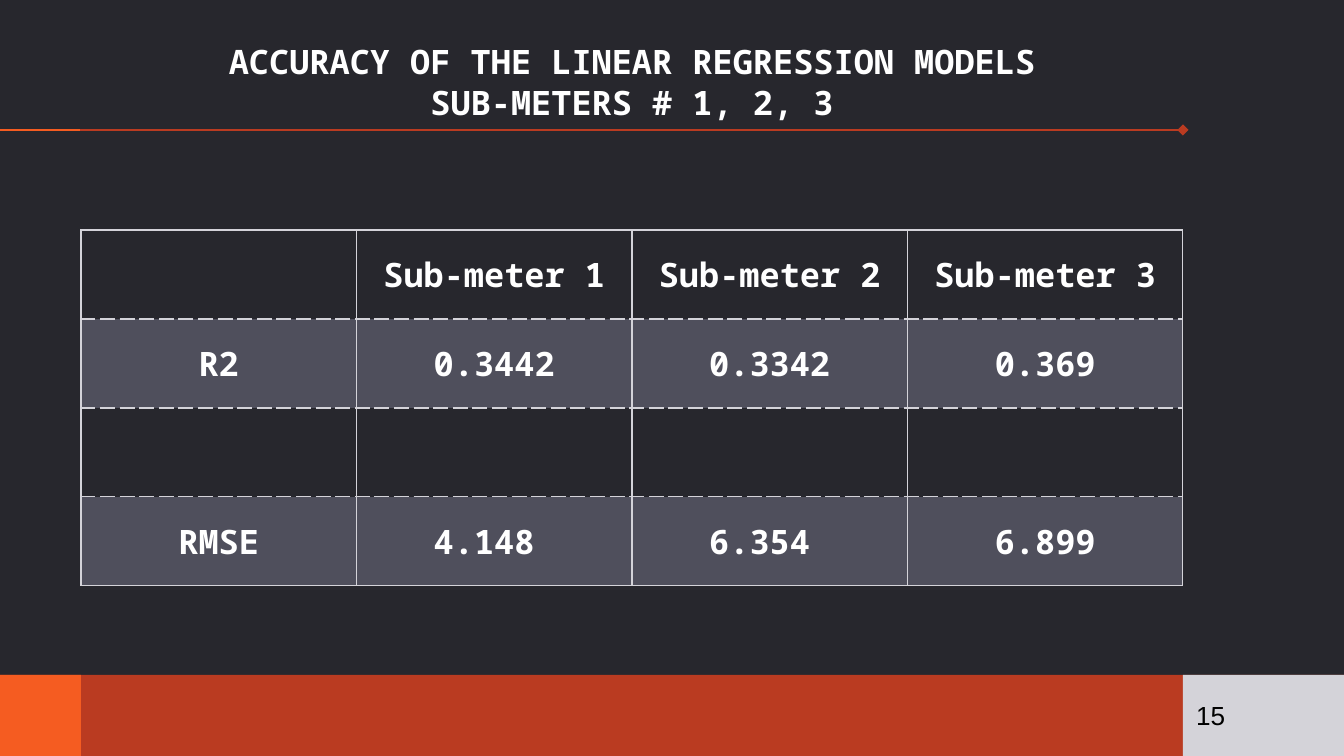
from lxml.etree import SubElement as Sub
from pptx import Presentation
from pptx.dml.color import RGBColor as RGB
from pptx.enum.shapes import MSO_CONNECTOR as Conn, MSO_SHAPE as Shape
from pptx.enum.text import MSO_ANCHOR as Anchor, MSO_AUTO_SIZE as Fit, PP_ALIGN as Align
from pptx.oxml.ns import qn
from pptx.util import Pt

DARK = RGB(0x27, 0x27, 0x2D)
SLATE = RGB(0x4F, 0x4F, 0x5C)
RUST = RGB(0xBA, 0x3B, 0x21)
ORANGE = RGB(0xF5, 0x5C, 0x21)
PALE = RGB(0xD4, 0xD3, 0xD9)
WHITE = RGB(0xFF, 0xFF, 0xFF)
BLACK = RGB(0, 0, 0)

MONO = "Noto Sans Mono"
WIDE, HIGH = 1344, 756
LEFT, RIGHT = 81, 1183
PAD = 13

TITLE = ("ACCURACY OF THE LINEAR REGRESSION MODELS", "SUB-METERS # 1, 2, 3")
ROWS = (
    ("", "Sub-meter 1", "Sub-meter 2", "Sub-meter 3"),
    ("R2", "0.3442", "0.3342", "0.369"),
    ("", "", "", ""),
    ("RMSE", "4.148 ", "6.354 ", "6.899"),
)


def px(*nums):
    """Turn pixels at 134.4 to the inch into EMU."""
    return [round(n * 914400 / 134.4) for n in nums]


def add_run(para, text, size=18, font=MONO, color=WHITE, bold=True):
    run = para.add_run()
    run.text = text
    run.font.size, run.font.name, run.font.bold = Pt(size), font, bold
    run.font.color.rgb = color


def set_pad(frame):
    frame.margin_left, frame.margin_top, frame.margin_right, frame.margin_bottom = px(*[PAD] * 4)
    frame.word_wrap = True


def add_rule(slide, x1, x2, y, color, tip=None):
    rule = slide.shapes.add_connector(Conn.STRAIGHT, *px(x1, y, x2, y))
    rule.line.color.rgb = color
    rule.line.width = Pt(1.5)
    if tip:
        Sub(rule.line._get_or_add_ln(), qn("a:tailEnd"), type=tip)
    Sub(rule._element.spPr, qn("a:effectLst"))


def add_block(slide, box, color):
    block = slide.shapes.add_shape(Shape.RECTANGLE, *px(*box))
    block.shadow.inherit = False
    block.fill.solid()
    block.fill.fore_color.rgb = color
    block.line.fill.background()
    return block


def add_head(slide, box):
    x, y, w, h = box
    base = y + 76
    add_rule(slide, -1, RIGHT, base, RUST, "diamond")
    add_rule(slide, -1, LEFT - 1, base, ORANGE)
    title = slide.shapes.title
    title.left, title.top, title.width, title.height = px(x, y, w, h)
    frame = title.text_frame
    frame.auto_size = Fit.NONE
    frame.vertical_anchor = Anchor.BOTTOM
    set_pad(frame)
    para = frame.paragraphs[0]
    para.alignment = Align.CENTER
    add_run(para, TITLE[0])
    para.add_line_break()
    add_run(para, TITLE[1])


def add_edge(cell, side, dash):
    edge = Sub(cell._tc.get_or_add_tcPr(), qn(f"a:ln{side}"), w=str(Pt(0.75)))
    fill = Sub(edge, qn("a:solidFill"))
    Sub(fill, qn("a:srgbClr"), val=str(PALE))
    Sub(edge, qn("a:prstDash"), val=dash)


def add_grid(slide, box):
    count = len(ROWS)
    table = slide.shapes.add_table(count, len(ROWS[0]), *px(*box)).table
    table.first_row = table.horz_banding = False
    for r, row in enumerate(ROWS):
        for c, text in enumerate(row):
            cell = table.cell(r, c)
            cell.vertical_anchor = Anchor.MIDDLE
            cell.margin_left, cell.margin_right = px(PAD, PAD)
            cell.margin_top, cell.margin_bottom = px(9, 9)
            add_edge(cell, "L", "solid")
            add_edge(cell, "R", "solid")
            add_edge(cell, "T", "dash" if r else "solid")
            add_edge(cell, "B", "dash" if r < count - 1 else "solid")
            if r % 2:
                cell.fill.solid()
                cell.fill.fore_color.rgb = SLATE
            else:
                cell.fill.background()
            if text:
                para = cell.text_frame.paragraphs[0]
                para.alignment = Align.CENTER
                add_run(para, text)


def add_foot(slide, box):
    x, y, w, h = box
    add_block(slide, box, RUST)
    add_block(slide, (x, y, LEFT, h), ORANGE)
    page = add_block(slide, (RIGHT, y, w - RIGHT, h), PALE)
    frame = page.text_frame
    set_pad(frame)
    frame.vertical_anchor = Anchor.MIDDLE
    para = frame.paragraphs[0]
    para.alignment = Align.LEFT
    add_run(para, "15", 14, "Arial", BLACK, False)


def main():
    deck = Presentation()
    deck.slide_width, deck.slide_height = px(WIDE, HIGH)
    slide = deck.slides.add_slide(deck.slide_layouts[5])
    slide.background.fill.solid()
    slide.background.fill.fore_color.rgb = DARK
    add_head(slide, (LEFT, 54, RIGHT - LEFT, 81))
    add_grid(slide, (LEFT, 230, RIGHT - LEFT, 356))
    add_foot(slide, (0, 675, WIDE, HIGH - 675))
    deck.save("out.pptx")


if __name__ == "__main__":
    main()
